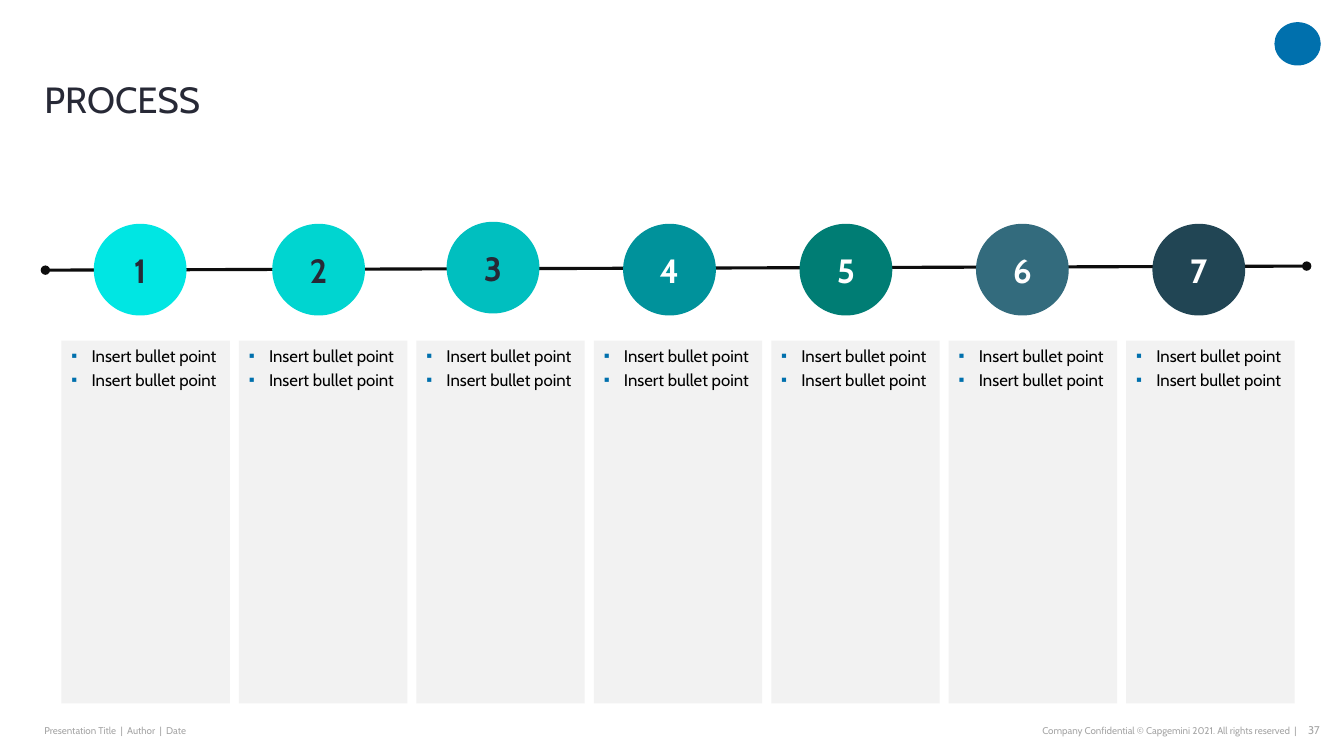
"""Build a seven-step process slide with numbered circles and bullet panels."""
from lxml.etree import SubElement
from pptx import Presentation
from pptx.enum.shapes import MSO_CONNECTOR, MSO_SHAPE
from pptx.enum.text import MSO_ANCHOR, PP_ALIGN
from pptx.oxml import parse_xml
from pptx.oxml.ns import qn
from pptx.util import Inches, Pt

NS = 'xmlns:a="http://schemas.openxmlformats.org/drawingml/2006/main"'
MARKS = (
    f'<a:buClr {NS}><a:srgbClr val="0070AD"/></a:buClr>',
    f'<a:buFont {NS} typeface="Arial"/>',
    f'<a:buChar {NS} char="▪"/>',
    f'<a:tabLst {NS}><a:tab pos="{Inches(0.2)}" algn="l"/></a:tabLst>',
)


def paint(fill, tone):
    fill.solid()
    fill.fore_color.rgb = RGB.from_string(tone)


def write(para, text, size, tone, bold=False):
    run = para.add_run()
    run.text = text
    form = {"name": "Cabin", "size": Pt(size), "bold": bold}
    for key, value in form.items():
        setattr(run.font, key, value)
    paint(run.font.fill, tone)


from pptx.dml.color import RGBColor as RGB

deck = Presentation()
deck.slide_width, deck.slide_height = Inches(13.33), Inches(7.5)
slide = deck.slides.add_slide(deck.slide_layouts[6])
shapes = slide.shapes

badge = shapes.add_shape(MSO_SHAPE.OVAL, Inches(12.64), Inches(0.22), Inches(0.46), Inches(0.43))
badge.shadow.inherit = False
paint(badge.fill, "0070AD")
badge.line.fill.background()

left, right = PP_ALIGN.LEFT, PP_ALIGN.RIGHT
mid, low, top = MSO_ANCHOR.MIDDLE, MSO_ANCHOR.BOTTOM, MSO_ANCHOR.TOP
labels = [
    ("Presentation Title  |  Author  |  Date", (0.44, 7.13, 3.73, 0.24), 7, "A6A6A6", left, mid, 0, 1),
    ("Company Confidential © Capgemini 2021. All rights reserved  |",
     (7.9, 7.13, 4.96, 0.24), 7, "A6A6A6", right, mid, 0, 1),
    ("37", (12.84, 7.13, 0.25, 0.24), 8, "A6A6A6", right, top, 0.05, 1),
    ("PROCESS", (0.44, 0.42, 11.97, 0.78), 26, "272936", left, low, 0, 0.9),
]
for text, area, size, tone, align, anchor, pad, lead in labels:
    frame = shapes.add_textbox(*map(Inches, area)).text_frame
    form = {"word_wrap": True, "vertical_anchor": anchor, "margin_left": 0,
            "margin_right": 0, "margin_top": Inches(pad), "margin_bottom": Inches(pad)}
    for key, value in form.items():
        setattr(frame, key, value)
    para = frame.paragraphs[0]
    para.alignment, para.line_spacing = align, lead
    write(para, text, size, tone)

track = shapes.add_connector(MSO_CONNECTOR.STRAIGHT, *map(Inches, (0.45, 2.68, 12.96, 2.64)))
paint(track.line.fill, "0D0D0D")
track.line.width = Pt(2.25)
props = track._element.spPr
for end in ("a:headEnd", "a:tailEnd"):
    SubElement(props.find(qn("a:ln")), qn(end), type="oval")
SubElement(props, qn("a:effectLst"))

steps = [
    ("00E6E3", "272936", 0, 0),
    ("00D5D0", "272936", 0.02, 0),
    ("00BFBF", "272936", 0, -0.02),
    ("00929B", "FFFFFF", 0, 0),
    ("007D74", "FFFFFF", 0, 0),
    ("336B7D", "FFFFFF", 0, 0),
    ("214554", "FFFFFF", 0, 0),
]
for col, (tone, ink, dx, dy) in enumerate(steps):
    disc = shapes.add_shape(MSO_SHAPE.OVAL, Inches(0.93 + 1.75 * col + dx), Inches(2.22 + dy),
                            Inches(0.92), Inches(0.91))
    panel = shapes.add_shape(MSO_SHAPE.RECTANGLE, Inches(0.61 + 1.76 * col), Inches(3.38),
                             Inches(1.67), Inches(3.6))
    for shape, fill in ((disc, tone), (panel, "F2F2F2")):
        shape.shadow.inherit = False
        paint(shape.fill, fill)
        shape.line.fill.background()
        shape.text_frame.word_wrap = True

    disc.text_frame.vertical_anchor = mid
    para = disc.text_frame.paragraphs[0]
    para.alignment = PP_ALIGN.CENTER
    write(para, str(col + 1), 24, ink, True)

    frame = panel.text_frame
    frame.vertical_anchor = top
    for para, gap in ((frame.paragraphs[0], 0), (frame.add_paragraph(), 3)):
        style = para._p.get_or_add_pPr()
        style.set("marL", str(Inches(0.2)))
        style.set("indent", str(-Inches(0.2)))
        for mark in MARKS:
            style.append(parse_xml(mark))
        para.level, para.alignment, para.space_before = 1, left, Pt(gap)
        write(para, "Insert bullet point", 12, "000000")

deck.save("out.pptx")
